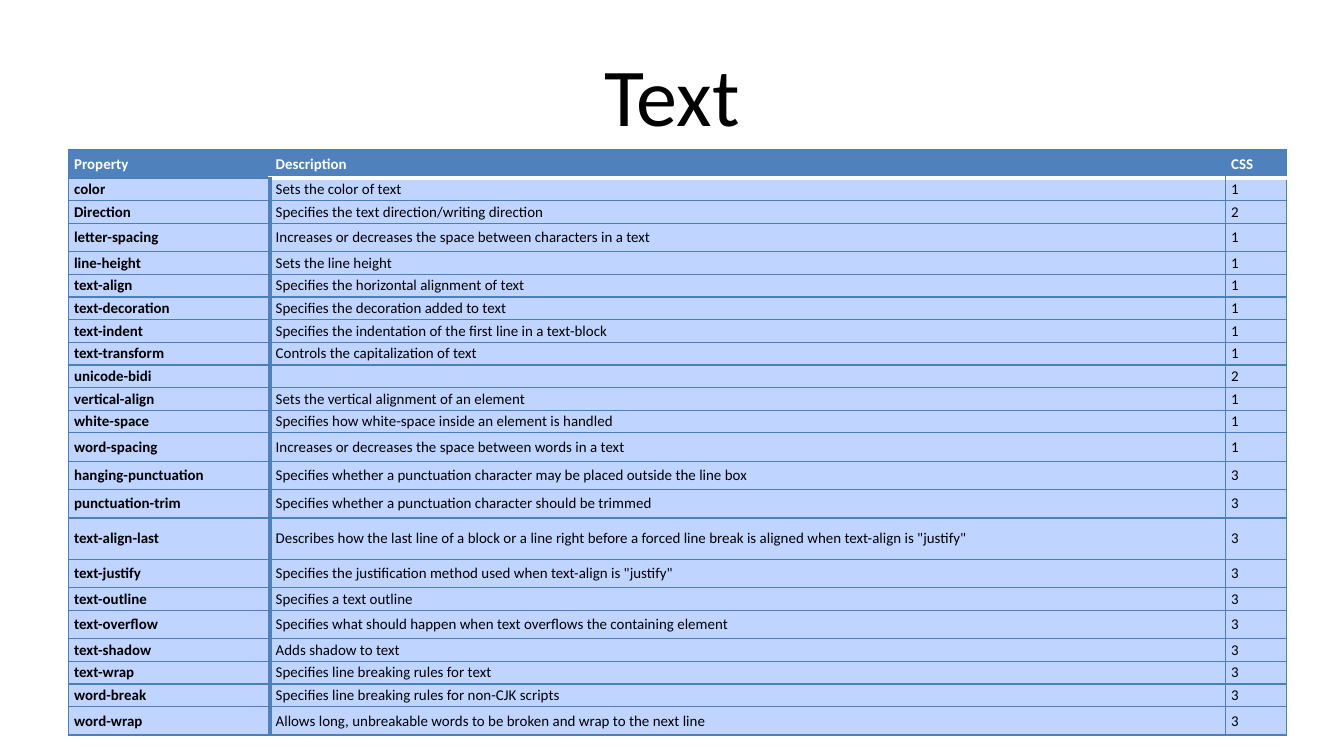
"""Build a slide with a table of the CSS text properties."""
from lxml.etree import SubElement
from pptx import Presentation
from pptx.dml.color import RGBColor
from pptx.enum.text import MSO_ANCHOR, PP_ALIGN
from pptx.oxml.ns import qn
from pptx.util import Pt

BLACK = RGBColor(0x00, 0x00, 0x00)
WHITE = RGBColor(0xFF, 0xFF, 0xFF)
HEADER = RGBColor(0x4F, 0x81, 0xBD)
BODY = RGBColor(0xBF, 0xD4, 0xFF)
GRID = RGBColor(0x4B, 0x7E, 0xBC)
FONT = "Calibri"
LOW, MID, HIGH = 12.15, 15.2, 22.2

ROWS = [
    ("Property", "Description", "CSS", MID),
    ("color", "Sets the color of text", "1", LOW),
    ("Direction", "Specifies the text direction/writing direction", "2", LOW),
    ("letter-spacing", "Increases or decreases the space between characters in a text", "1", MID),
    ("line-height", "Sets the line height", "1", LOW),
    ("text-align", "Specifies the horizontal alignment of text", "1", LOW),
    ("text-decoration", "Specifies the decoration added to text", "1", LOW),
    ("text-indent", "Specifies the indentation of the first line in a text-block", "1", LOW),
    ("text-transform", "Controls the capitalization of text", "1", LOW),
    ("unicode-bidi", "", "2", LOW),
    ("vertical-align", "Sets the vertical alignment of an element", "1", LOW),
    ("white-space", "Specifies how white-space inside an element is handled", "1", LOW),
    ("word-spacing", "Increases or decreases the space between words in a text", "1", MID),
    ("hanging-punctuation",
     "Specifies whether a punctuation character may be placed outside the line box", "3", MID),
    ("punctuation-trim", "Specifies whether a punctuation character should be trimmed", "3", MID),
    ("text-align-last",
     "Describes how the last line of a block or a line right before a forced line break "
     "is aligned when text-align is \"justify\"", "3", HIGH),
    ("text-justify", "Specifies the justification method used when text-align is \"justify\"",
     "3", MID),
    ("text-outline", "Specifies a text outline", "3", LOW),
    ("text-overflow", "Specifies what should happen when text overflows the containing element",
     "3", MID),
    ("text-shadow", "Adds shadow to text", "3", LOW),
    ("text-wrap", "Specifies line breaking rules for text", "3", LOW),
    ("word-break", "Specifies line breaking rules for non-CJK scripts", "3", LOW),
    ("word-wrap", "Allows long, unbreakable words to be broken and wrap to the next line",
     "3", MID),
]
WIDTHS = [108, 511.9, 32.4]


def add_run(p, text, size, color, bold=False):
    r = p.add_run()
    r.text = text
    r.font.name = FONT
    r.font.size = Pt(size)
    r.font.bold = bold
    r.font.color.rgb = color


def set_borders(cell, borders):
    tcPr = cell._tc.get_or_add_tcPr()
    for i, (side, (color, width)) in enumerate(borders.items()):
        ln = tcPr.makeelement(qn(f"a:ln{side}"), {"w": str(Pt(width))})
        if width:
            fill = SubElement(ln, qn("a:solidFill"))
            SubElement(fill, qn("a:srgbClr"), val=str(color))
        else:
            SubElement(ln, qn("a:noFill"))
        tcPr.insert(i, ln)


prs = Presentation()
prs.slide_width, prs.slide_height = Pt(720), Pt(405)
s = prs.slides.add_slide(prs.slide_layouts[6])

title = s.shapes.add_textbox(Pt(36), Pt(16.5), Pt(648), Pt(67.7))
tf = title.text_frame
tf.word_wrap = True
tf.vertical_anchor = MSO_ANCHOR.MIDDLE
p = tf.paragraphs[0]
p.alignment = PP_ALIGN.CENTER
add_run(p, "Text", 44, BLACK)

heights = [row[-1] for row in ROWS]
frame = s.shapes.add_table(len(ROWS), len(WIDTHS), Pt(36.7), Pt(80.2),
                           Pt(sum(WIDTHS)), Pt(sum(heights)))
table = frame.table
table.first_row = table.horz_banding = False
for column, width in zip(table.columns, WIDTHS):
    column.width = Pt(width)

thin, thick, none = (GRID, 0.75), (HEADER, 2), (GRID, 0)
for i, (*texts, height) in enumerate(ROWS):
    table.rows[i].height = Pt(height)
    for j, text in enumerate(texts):
        cell = table.cell(i, j)
        cell.vertical_anchor = MSO_ANCHOR.MIDDLE
        cell.margin_left = cell.margin_right = Pt(3)
        cell.margin_top = cell.margin_bottom = Pt(1.15)
        cell.fill.solid()
        cell.fill.fore_color.rgb = BODY if i else HEADER
        p = cell.text_frame.paragraphs[0]
        if text:
            add_run(p, text, 8, BLACK if i else WHITE, i == 0 or j == 0)
        else:
            SubElement(p._p, qn("a:endParaRPr"), sz="800")
        if i == 0:
            borders = {"L": none if j else thin, "R": thin if j == 2 else none,
                       "T": thin, "B": (WHITE, 2) if j else thin}
        else:
            borders = {"L": thick if j == 1 else thin, "R": thin if j else thick,
                       "T": (WHITE, 2) if i == 1 and j else thin, "B": thin}
        set_borders(cell, borders)

prs.save("out.pptx")
